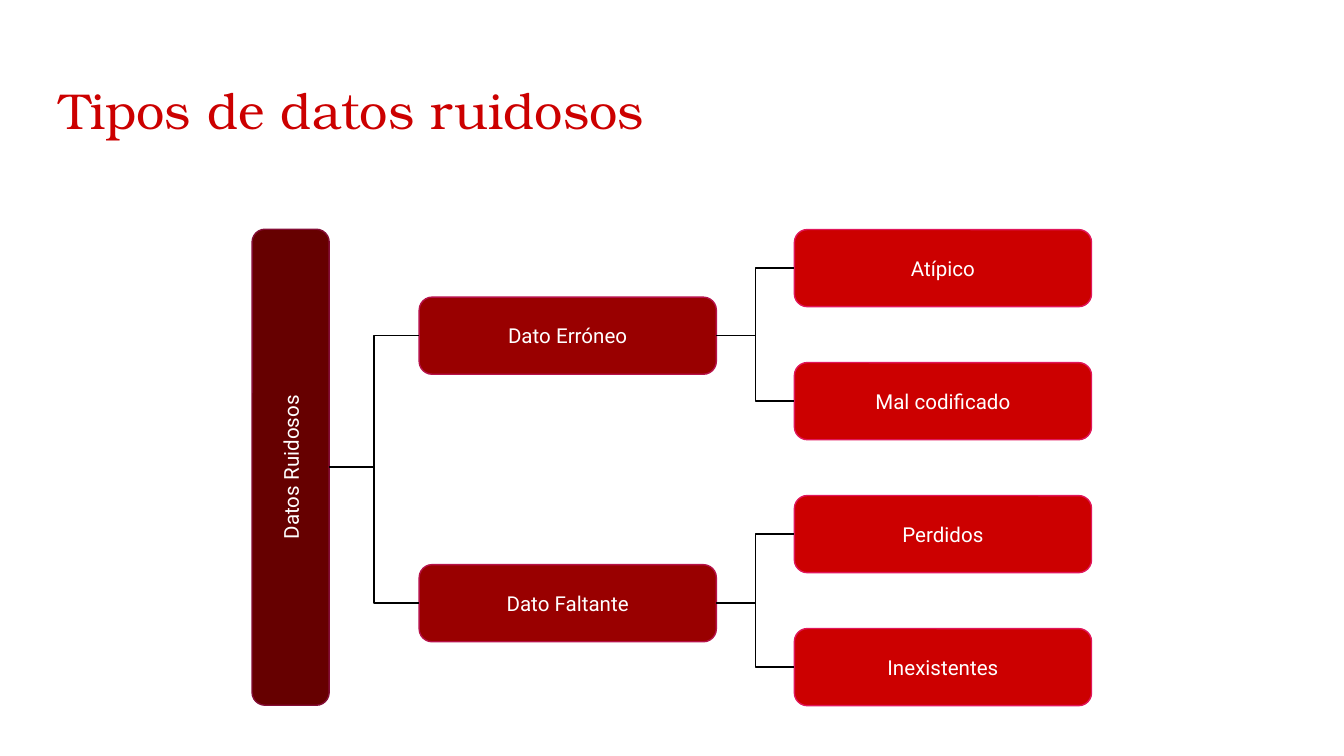
from dataclasses import dataclass

from lxml import etree
from pptx import Presentation
from pptx.dml.color import RGBColor
from pptx.enum.shapes import MSO_CONNECTOR, MSO_SHAPE
from pptx.enum.text import MSO_ANCHOR, MSO_AUTO_SIZE, PP_ALIGN
from pptx.oxml.ns import qn
from pptx.util import Pt

ROUNDED = MSO_SHAPE.ROUNDED_RECTANGLE
ELBOW = MSO_CONNECTOR.ELBOW
LEFT, CENTER = PP_ALIGN.LEFT, PP_ALIGN.CENTER
TOP, MIDDLE = MSO_ANCHOR.TOP, MSO_ANCHOR.MIDDLE
NO_FIT = MSO_AUTO_SIZE.NONE
LEFT_SIDE, RIGHT_SIDE = 1, 3

BOX_W, BOX_H = 159.2, 41.3
ROOT_W = 255
ROOT_X, ROOT_Y = 155.7, 250.3
TYPE_X, LEAF_X = 224.6, 425.6
LEAF_TOP, LEAF_STEP = 123, 71.25


@dataclass
class Level:
    fill: str
    line: str


@dataclass
class Branch:
    text: str
    top: float
    leaves: tuple[str, ...]


ROOT = Level("660000", "840D35")
TYPE = Level("990000", "B61249")
LEAF = Level("CC0000", "E1165A")

BRANCHES = (
    Branch("Dato Erróneo", 159.2, ("Atípico", "Mal codificado")),
    Branch("Dato Faltante", 302.5, ("Perdidos", "Inexistentes")),
)


def rgb(value: str) -> RGBColor:
    return RGBColor.from_string(value)


def write(sp, text: str, *, size: float, font: str, color: str,
          align=CENTER, anchor=MIDDLE) -> None:
    tf = sp.text_frame
    tf.word_wrap = True
    tf.auto_size = NO_FIT
    tf.vertical_anchor = anchor
    tf.margin_left = tf.margin_right = Pt(7.2)
    tf.margin_top = tf.margin_bottom = Pt(7.2)
    p = tf.paragraphs[0]
    p.alignment = align
    r = p.add_run()
    r.text = text
    r.font.size = Pt(size)
    r.font.name = font
    r.font.color.rgb = rgb(color)


def add_box(s, text: str, x: float, y: float, level: Level,
            w: float = BOX_W, rotation: float = 0):
    sp = s.shapes.add_shape(ROUNDED, Pt(x), Pt(y), Pt(w), Pt(BOX_H))
    sp.rotation = rotation
    sp.shadow.inherit = False
    sp.fill.solid()
    sp.fill.fore_color.rgb = rgb(level.fill)
    sp.line.color.rgb = rgb(level.line)
    sp.line.width = Pt(0.75)
    write(sp, text, size=11, font="Roboto", color="FFFFFF")
    return sp


def add_elbow(s, x: float, y: float, child, parent=None) -> None:
    cx = s.shapes.add_connector(ELBOW, Pt(x), Pt(y), child.left,
                                child.top + child.height // 2)
    if parent is not None:
        cx.begin_connect(parent, RIGHT_SIDE)
    cx.end_connect(child, LEFT_SIDE)
    cx.line.color.rgb = rgb("000000")
    cx.line.width = Pt(0.75)
    etree.SubElement(cx._element.spPr, qn("a:effectLst"))


def main() -> None:
    prs = Presentation()
    prs.slide_width, prs.slide_height = Pt(720), Pt(405)
    s = prs.slides.add_slide(prs.slide_layouts[5])

    title = s.shapes.title
    title.left, title.top = Pt(24.5), Pt(35)
    title.width, title.height = Pt(671), Pt(45)
    write(title, "Tipos de datos ruidosos", size=27, font="TeX Gyre Bonum",
          color="CC0000", align=LEFT, anchor=TOP)

    add_box(s, "Datos Ruidosos", ROOT_X - ROOT_W / 2, ROOT_Y - BOX_H / 2,
            ROOT, w=ROOT_W, rotation=270)
    row = 0
    for branch in BRANCHES:
        kind = add_box(s, branch.text, TYPE_X, branch.top, TYPE)
        add_elbow(s, ROOT_X + BOX_H / 2, ROOT_Y, kind)
        for text in branch.leaves:
            leaf = add_box(s, text, LEAF_X, LEAF_TOP + row * LEAF_STEP, LEAF)
            add_elbow(s, TYPE_X + BOX_W, branch.top + BOX_H / 2, leaf, kind)
            row += 1

    prs.save("out.pptx")


if __name__ == "__main__":
    main()
